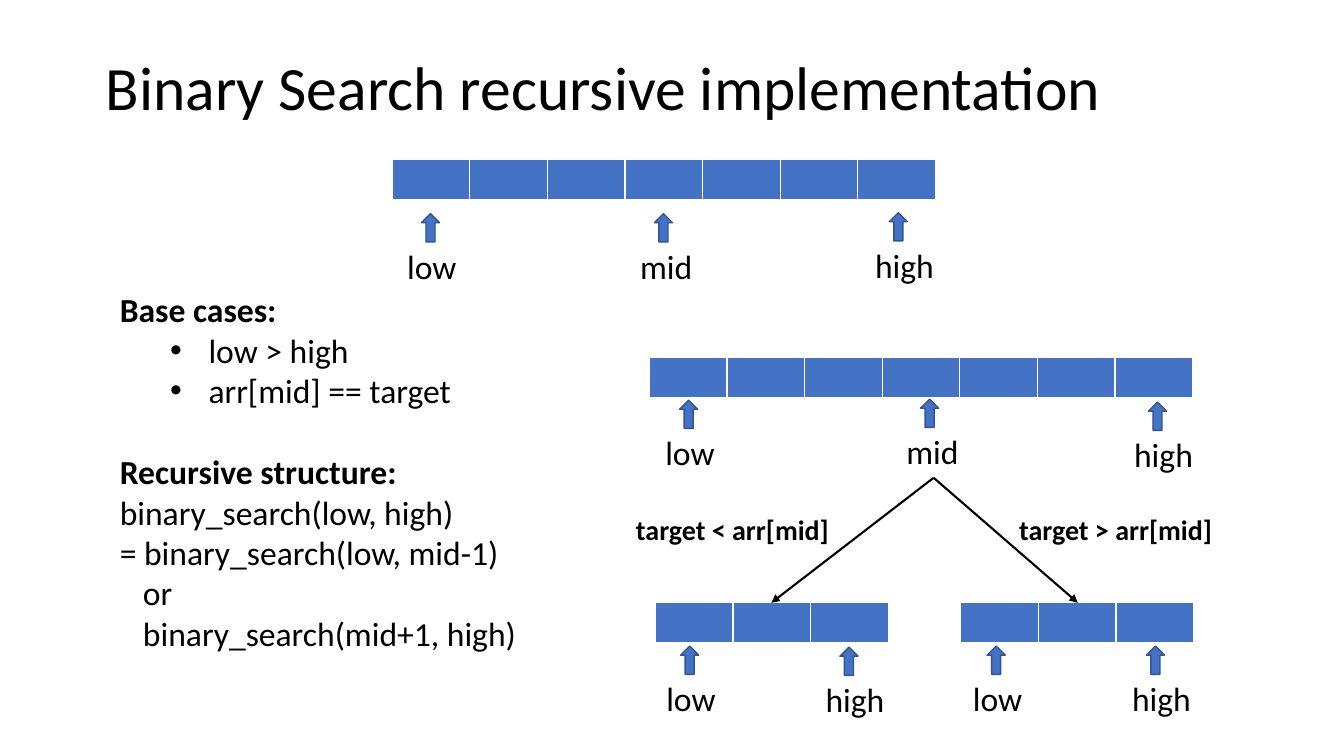
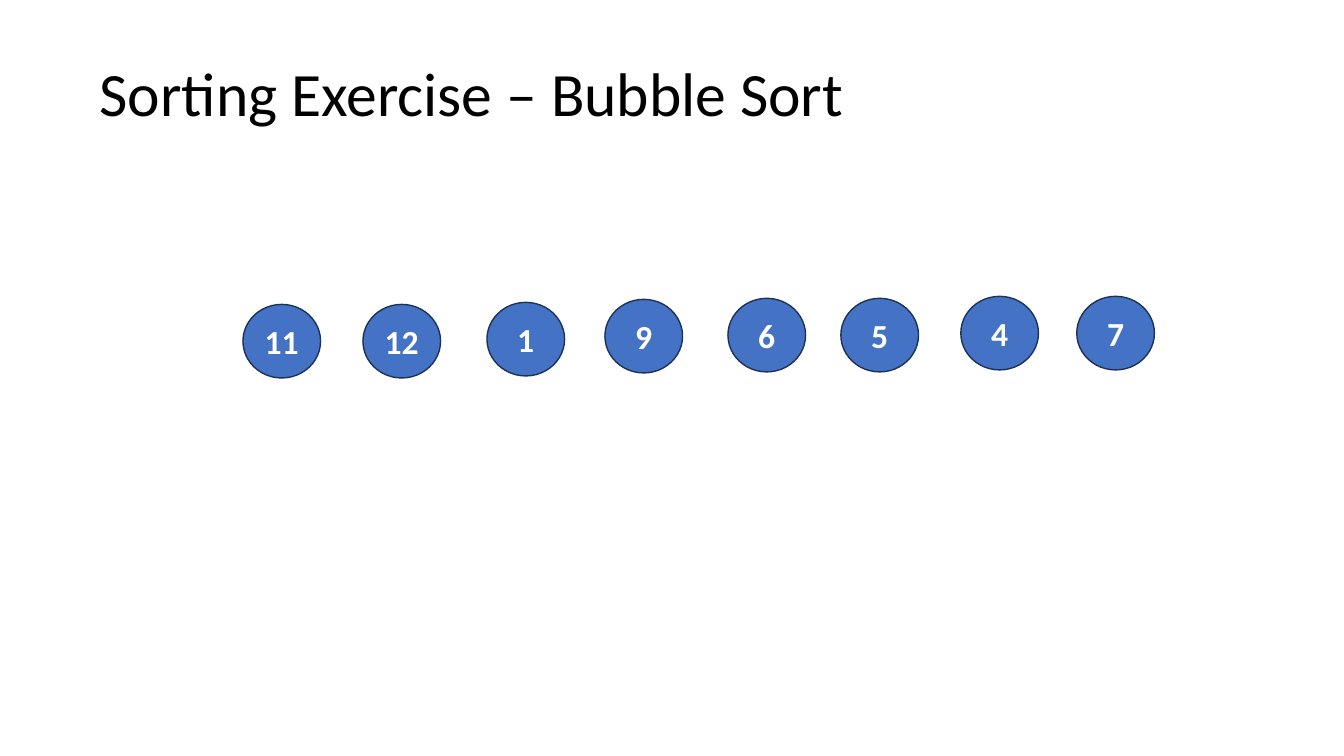
import pptx
import pptx.dml.color
import pptx.enum.shapes
import pptx.enum.text
import pptx.oxml.ns
import pptx.util
from lxml import etree
from pptx.util import Inches

COLORS = {
    "text": "000000",
    "white": "FFFFFF",
    "blue": "4472C4",
    "arrow_edge": "325491",
    "ball_edge": "1E3256",
}
FONT = "Calibri"
TITLE_SIZE, BODY_SIZE, NOTE_SIZE = 44, 24, 20
CELL_WIDTH, CELL_HEIGHT = 0.77, 0.41
SHAPES = pptx.enum.shapes.MSO_SHAPE


def rgb(name):
    return pptx.dml.color.RGBColor.from_string(COLORS[name])


def add_xml(parent, tag, **attributes):
    return etree.SubElement(parent, pptx.oxml.ns.qn(tag), attributes)


class Painter:
    """Holds the deck, its style and the slide being filled."""

    def __init__(self):
        self.deck = pptx.Presentation()
        self.deck.slide_width = Inches(13.33)
        self.deck.slide_height = Inches(7.5)
        self.page = None

    def new_page(self, title, left, top):
        self.page = self.deck.slides.add_slide(self.deck.slide_layouts[6])
        frame = self.text_frame(left, top, 11.5, 1.45)
        para = frame.paragraphs[0]
        para.line_spacing = 0.9
        self.span(para, title, TITLE_SIZE)

    def text_frame(self, left, top, width, height):
        box = self.page.shapes.add_textbox(
            Inches(left), Inches(top), Inches(width), Inches(height))
        box.text_frame.word_wrap = True
        return box.text_frame

    def span(self, para, text, size=BODY_SIZE, bold=False, color="text"):
        span = para.add_run()
        span.text = text
        span.font.name = FONT
        span.font.size = pptx.util.Pt(size)
        span.font.bold = bold
        span.font.color.rgb = rgb(color)

    def label(self, text, left, top, width, size=BODY_SIZE, bold=False):
        frame = self.text_frame(left, top, width, 0.5)
        self.span(frame.paragraphs[0], text, size, bold)

    def outline(self, lines, left, top, width, height):
        """Lines are (text, style), style being head, plain, bullet or indent."""
        frame = self.text_frame(left, top, width, height)
        for index, (text, style) in enumerate(lines):
            para = frame.paragraphs[0] if index == 0 else frame.add_paragraph()
            if style == "head" and index:
                para.space_before = pptx.util.Pt(29.3)
            self.span(para, text, bold=style == "head")
            props = para._p.get_or_add_pPr()
            if style == "bullet":
                props.set("marL", str(Inches(0.88)))
                props.set("indent", str(Inches(-0.38)))
                add_xml(props, "a:buFont", typeface="Arial")
                add_xml(props, "a:buChar", char="•")
            elif style == "indent":
                props.set("marL", str(Inches(0.23)))

    def shape(self, kind, left, top, width, height, edge):
        shape = self.page.shapes.add_shape(
            kind, Inches(left), Inches(top), Inches(width), Inches(height))
        shape.shadow.inherit = False
        shape.fill.solid()
        shape.fill.fore_color.rgb = rgb("blue")
        shape.line.color.rgb = rgb(edge)
        shape.line.width = pptx.util.Pt(1)
        return shape

    def array(self, left, top, count):
        table = self.page.shapes.add_table(
            1, count, Inches(left), Inches(top),
            Inches(CELL_WIDTH * count), Inches(CELL_HEIGHT)).table
        for cell in table.iter_cells():
            props = cell._tc.get_or_add_tcPr()
            for side, points in (("L", 1), ("R", 1), ("T", 1), ("B", 3)):
                border = add_xml(props, f"a:ln{side}", w=str(pptx.util.Pt(points)))
                fill = add_xml(border, "a:solidFill")
                add_xml(fill, "a:srgbClr", val=COLORS["white"])
            cell.fill.solid()
            cell.fill.fore_color.rgb = rgb("blue")

    def pointer(self, name, left, top):
        """An up arrow with its index name below."""
        self.shape(SHAPES.UP_ARROW, left, top, 0.18, 0.28, "arrow_edge")
        self.label(name, left - 0.24, top + 0.27, 0.81)

    def branch(self, start, end):
        line = self.page.shapes.add_connector(
            pptx.enum.shapes.MSO_CONNECTOR.STRAIGHT,
            *(Inches(value) for value in start + end))
        line.line.color.rgb = rgb("text")
        line.line.width = pptx.util.Pt(1.5)
        add_xml(line.line._get_or_add_ln(), "a:tailEnd", type="triangle")
        add_xml(line._element.spPr, "a:effectLst")

    def ball(self, number, left, top):
        ball = self.shape(SHAPES.OVAL, left, top, 0.77, 0.73, "ball_edge")
        frame = ball.text_frame
        frame.vertical_anchor = pptx.enum.text.MSO_ANCHOR.MIDDLE
        para = frame.paragraphs[0]
        para.alignment = pptx.enum.text.PP_ALIGN.CENTER
        self.span(para, str(number), bold=True, color="white")


def binary_search(painter):
    painter.new_page("Binary Search recursive implementation", 0.95, 0.52)
    painter.outline([
        ("Base cases:", "head"),
        ("low > high", "bullet"),
        ("arr[mid] == target", "bullet"),
        ("Recursive structure:", "head"),
        ("binary_search(low, high)", "plain"),
        ("= binary_search(low, mid-1)", "plain"),
        ("or", "indent"),
        ("binary_search(mid+1, high)", "indent"),
    ], 1.09, 2.82, 4.4, 4.14)

    # Arrays: the whole range, then the split into two halves
    for left, top, count in ((3.89, 1.58, 7), (6.44, 3.55, 7),
                             (6.5, 5.98, 3), (9.53, 5.98, 3)):
        painter.array(left, top, count)

    # Index pointers under each array
    for name, left, top in (
            ("low", 4.18, 2.12), ("mid", 6.49, 2.12), ("high", 8.82, 2.11),
            ("low", 6.74, 3.97), ("mid", 9.13, 3.96), ("high", 11.39, 3.99),
            ("low", 6.75, 6.41), ("high", 8.33, 6.42),
            ("low", 9.79, 6.41), ("high", 11.37, 6.41)):
        painter.pointer(name, left, top)

    # Branches with their conditions
    for end_left, text, text_left in ((7.65, "target < arr[mid]", 6.21),
                                      (10.69, "target > arr[mid]", 10.01)):
        painter.branch((9.26, 4.74), (end_left, 5.98))
        painter.label(text, text_left, 5.04, 2.3, NOTE_SIZE, bold=True)


def bubble_sort(painter):
    painter.new_page("Sorting Exercise – Bubble Sort", 0.89, 0.58)
    # Numbers to sort
    for number, left, top in (
            (11, 2.41, 3.02), (12, 3.6, 3.02), (1, 4.83, 3), (9, 6, 2.97),
            (6, 7.22, 2.96), (5, 8.34, 2.96), (4, 9.53, 2.94), (7, 10.68, 2.94)):
        painter.ball(number, left, top)


def main():
    painter = Painter()
    binary_search(painter)
    bubble_sort(painter)
    painter.deck.save("out.pptx")


if __name__ == "__main__":
    main()
